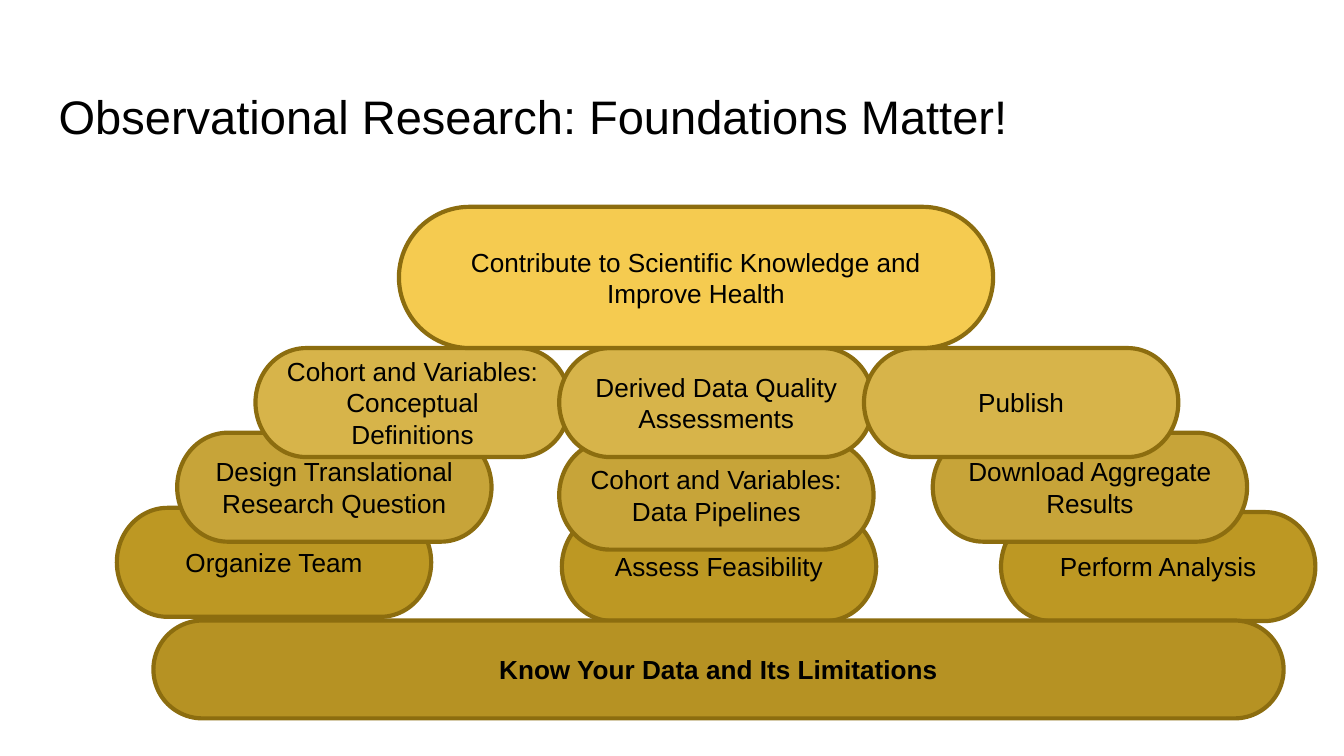
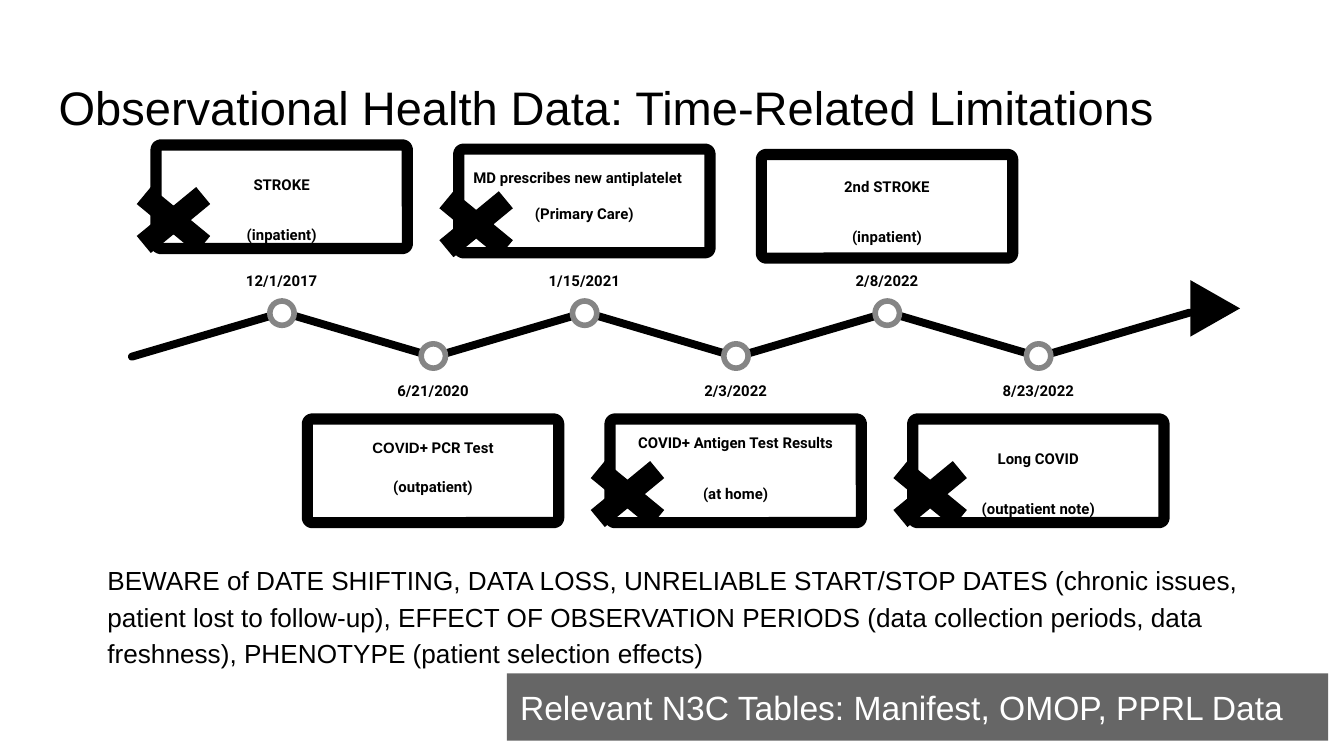
from dataclasses import dataclass

from pptx import Presentation
from pptx.dml.color import RGBColor
from pptx.enum import shapes, text
from pptx.util import Cm, Pt

KIND = shapes.MSO_SHAPE
SIDE = text.PP_ALIGN
EDGE = text.MSO_ANCHOR


@dataclass(frozen=True)
class Theme:
    black: str = "000000"
    white: str = "FFFFFF"
    gray: str = "666666"
    ring: str = "858585"
    rim: str = "8C6D0F"
    base: str = "B69223"
    peak: str = "F5CB50"
    tiers: tuple = ("BD9823", "C7A439", "D7B44A")
    font: str = "Arial"
    label: str = "Roboto"
    head: float = 25.2
    note: float = 18
    body: float = 14
    small: float = 8
    pad: float = 0.25


def write(frame, paras, size, color=Theme.black, font=Theme.font, bold=False,
          sides=(SIDE.LEFT,), anchor=EDGE.TOP, lead=1.0, gap=0, top=Theme.pad,
          foot=Theme.pad):
    frame.word_wrap = True
    frame.vertical_anchor = anchor
    frame.margin_left = frame.margin_right = Cm(Theme.pad)
    frame.margin_top, frame.margin_bottom = Cm(top), Cm(foot)
    for i, runs in enumerate(paras):
        para = frame.add_paragraph() if i else frame.paragraphs[0]
        para.alignment = sides[min(i, len(sides) - 1)]
        para.line_spacing = lead
        if i:
            para.space_before = Pt(gap)
        for part, face in [(runs, font)] if isinstance(runs, str) else runs:
            run = para.add_run()
            run.text = part
            run.font.name = face
            run.font.size = Pt(size)
            run.font.bold = bold
            run.font.color.rgb = RGBColor.from_string(color)


class Deck:
    def __init__(self, theme):
        self.theme = theme
        self.file = Presentation()
        self.file.slide_width, self.file.slide_height = Cm(25.4), Cm(14.29)
        self.slide = None

    def page(self, title, lead=1.0):
        self.slide = self.file.slides.add_slide(self.file.slide_layouts[6])
        self.words((0.86, 1.24, 23.67, 1.6), title, size=self.theme.head, lead=lead)

    def words(self, box, line, **style):
        frame = self.slide.shapes.add_textbox(*map(Cm, box)).text_frame
        write(frame, [line], **style)

    def shape(self, kind, box, fill, line=None, width=0, turn=0, bend=None):
        item = self.slide.shapes.add_shape(kind, *map(Cm, box))
        item.shadow.inherit = False
        item.fill.solid()
        item.fill.fore_color.rgb = RGBColor.from_string(fill)
        if line:
            item.line.color.rgb = RGBColor.from_string(line)
            item.line.width = Pt(width)
        else:
            item.line.fill.background()
        item.rotation = turn
        if bend is not None:
            item.adjustments[0] = bend
        return item

    def pill(self, box, line, fill, kind=KIND.FLOWCHART_TERMINATOR, bold=False):
        bend = 0.5 if kind == KIND.ROUNDED_RECTANGLE else None
        item = self.shape(kind, box, fill, self.theme.rim, 2.25, bend=bend)
        write(item.text_frame, [line], self.theme.body, bold=bold,
              sides=(SIDE.CENTER,), anchor=EDGE.MIDDLE)

    def node(self, left, top, date, height):
        t = self.theme
        self.shape(KIND.OVAL, (left, top, 0.46, 0.46), t.white, t.ring, 3)
        self.words((left - 0.74, height, 1.93, 0.76), date, size=t.small,
                   font=t.label, bold=True, sides=(SIDE.CENTER,), lead=1.15)

    def card(self, left, top, lines, inset, gap, sides=(SIDE.CENTER,)):
        t = self.theme
        item = self.shape(KIND.ROUNDED_RECTANGLE, (left, top, 4.75, 1.96),
                          t.white, t.black, 6, bend=0.045)
        write(item.text_frame, lines, t.small, font=t.label, bold=True,
              sides=sides, gap=gap, top=inset, foot=0)

    def cross(self, left, top):
        self.shape(KIND.MATH_MULTIPLY, (left - 0.75, top + 0.53, 2.16, 1.78),
                   self.theme.black, bend=0.235)


def pyramid(deck):
    t = deck.theme
    deck.page("Observational Research: Foundations Matter!", lead=1.15)
    tiers = [
        [(2.21, 9.6, "Organize Team"),
         (10.62, 9.68, "Assess Feasibility"),
         (18.92, 9.68, "Perform Analysis")],
        [(3.35, 8.18, "Design Translational Research Question"),
         (10.57, 8.33, "Cohort and Variables: Data Pipelines"),
         (17.63, 8.18, "Download Aggregate Results")],
        [(4.83, 6.58, "Cohort and Variables: Conceptual Definitions"),
         (10.57, 6.58, "Derived Data Quality Assessments"),
         (16.33, 6.58, "Publish")],
    ]
    for fill, tier in zip(t.tiers, tiers):
        for left, top, line in tier:
            deck.pill((left, top, 5.94, 2.06), line, fill)
    deck.pill((7.54, 3.91, 11.23, 2.67),
              "Contribute to Scientific Knowledge and Improve Health",
              t.peak, KIND.ROUNDED_RECTANGLE)
    deck.pill((2.9, 11.73, 21.36, 1.85), "Know Your Data and Its Limitations",
              t.base, KIND.ROUNDED_RECTANGLE, bold=True)


def timeline(deck):
    t = deck.theme
    step = 2.86
    deck.page("Observational Health Data: Time-Related Limitations")
    deck.words((1.78, 10.34, 22.4, 2.4),
               "BEWARE of DATE SHIFTING, DATA LOSS, UNRELIABLE START/STOP DATES "
               "(chronic issues, patient lost to follow-up), EFFECT OF OBSERVATION "
               "PERIODS (data collection periods, data freshness), PHENOTYPE "
               "(patient selection effects)", size=t.body, lead=1.15)
    band = deck.shape(KIND.RECTANGLE, (9.58, 12.73, 15.52, 1.27), t.gray)
    write(band.text_frame, ["Relevant N3C Tables: Manifest, OMOP, PPRL Data"],
          t.note, t.white)

    for i in range(7):
        deck.shape(KIND.ROUNDED_RECTANGLE, (2.36 + step * i, 6.25, 3.1, 0.15),
                   t.black, turn=16.4 if i % 2 else -16.4, bend=0.5)
    deck.shape(KIND.ISOSCELES_TRIANGLE, (22.43, 5.36, 1.07, 0.94), t.black, turn=90)

    pcr = [("COVID", t.font), ("+ PCR Test", t.label)]
    mixed = (SIDE.LEFT, SIDE.CENTER)
    mid = (SIDE.CENTER,)
    events = [
        ("12/1/2017", 2.74, ["STROKE", "(inpatient)"], 0.55, 17.5, mid, True),
        ("6/21/2020", 7.92, [pcr, "(outpatient)"], 0.34, 11.5, mid, False),
        ("1/15/2021", 2.82, ["MD prescribes new antiplatelet", "(Primary Care)"],
         0.34, 10, mixed, True),
        ("2/3/2022", 7.92, ["COVID+ Antigen Test Results", "(at home)"],
         0.26, 17.5, mid, True),
        ("2/8/2022", 2.92, ["2nd STROKE", "(inpatient)"], 0.41, 17.5, mid, False),
        ("8/23/2022", 7.92, ["Long COVID", "(outpatient note)"],
         0.55, 17.5, mid, True),
    ]
    for i, (date, top, lines, inset, gap, sides, lost) in enumerate(events):
        left = 2.95 + step * i
        spot, height = (6.5, 6.96) if i % 2 else (5.69, 4.88)
        deck.node(5.1 + step * i, spot, date, height)
        deck.card(left, top, lines, inset, gap, sides)
        if lost:
            deck.cross(left, top)


def main():
    deck = Deck(Theme())
    pyramid(deck)
    timeline(deck)
    deck.file.save("out.pptx")


if __name__ == "__main__":
    main()
